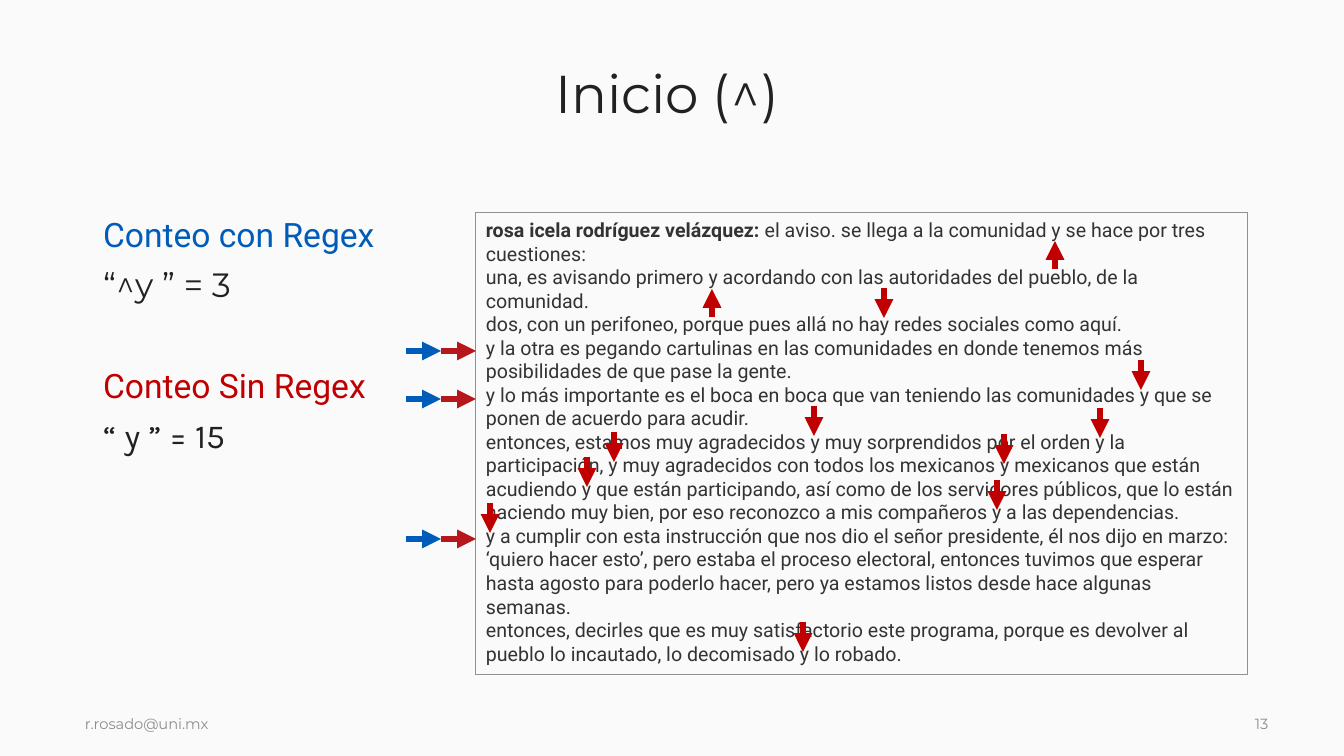
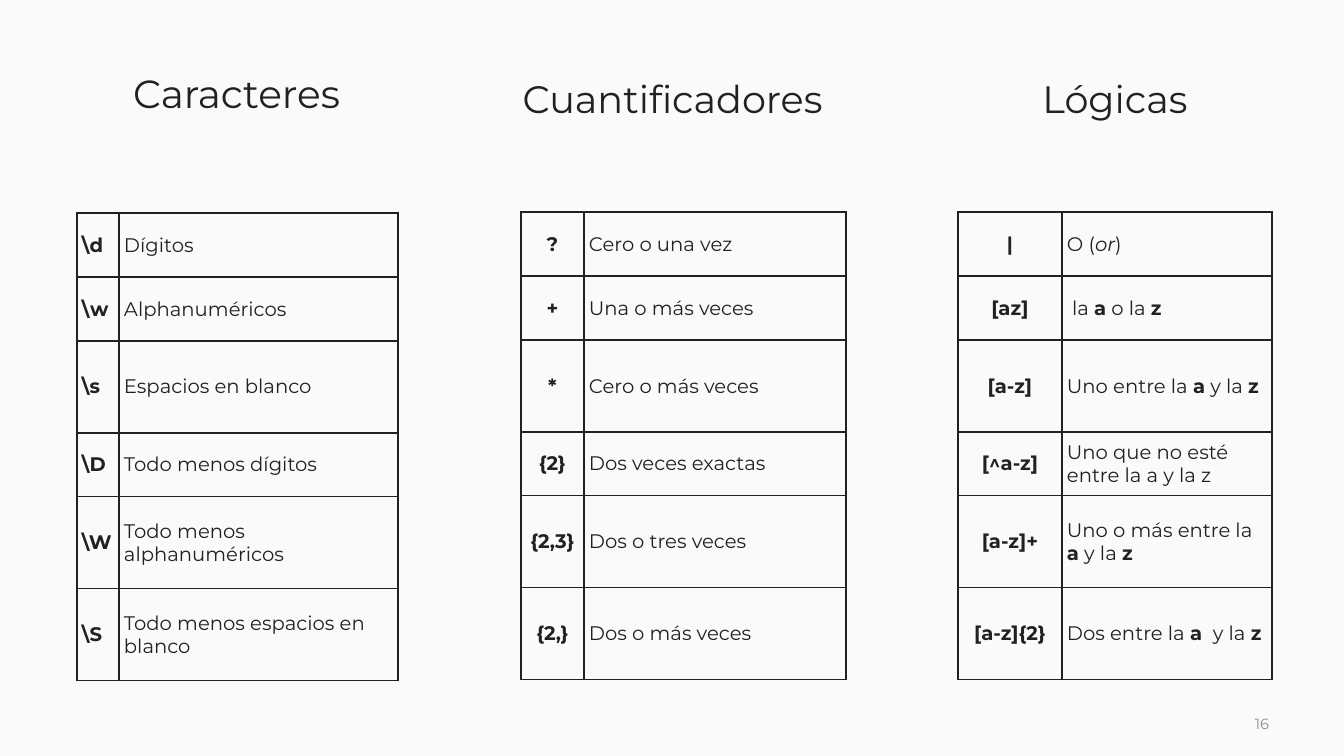
import pptx
import pptx.util
import pptx.dml.color
import pptx.enum.shapes
import pptx.enum.text
import pptx.oxml
import pptx.oxml.ns
import lxml.etree


class Theme:
    bg, ink, note = "FAFAFA", "212121", "333333"
    frame, muted = "909090", "8D8D8D"
    blue, red, brick = "005CB9", "C00000", "B6171A"
    head, read, plain = "Montserrat", "Roboto", "Karla"
    title, subtitle, caption = 38, 28, 27.3
    body, small, footer = 24, 14, 10.5


PX = 12192000 / 1344
MIDDLE = pptx.enum.text.MSO_ANCHOR.MIDDLE
TOP = pptx.enum.text.MSO_ANCHOR.TOP
CENTER = pptx.enum.text.PP_ALIGN.CENTER
LEFT = pptx.enum.text.PP_ALIGN.LEFT
STRAIGHT = pptx.enum.shapes.MSO_CONNECTOR.STRAIGHT
RGB = pptx.dml.color.RGBColor.from_string
qn = pptx.oxml.ns.qn
B, I = {"bold": True}, {"italic": True}


def px(*values):
    return [round(v * PX) for v in values]


def write(tf, paras, size, color, name=Theme.head, anchor=MIDDLE, **para_format):
    """Each paragraph is a list of runs: a string, or a string with font values."""
    tf.word_wrap = True
    tf.auto_size = pptx.enum.text.MSO_AUTO_SIZE.NONE
    tf.vertical_anchor = anchor
    for i, runs in enumerate(paras):
        p = tf.add_paragraph() if i else tf.paragraphs[0]
        for key, value in para_format.items():
            setattr(p, key, value)
        for run in runs:
            text, extra = (run, {}) if isinstance(run, str) else run
            r = p.add_run()
            r.text = text
            font = {"size": pptx.util.Pt(size), "name": name, "bold": False, **extra}
            for key, value in font.items():
                setattr(r.font, key, value)
            r.font.color.rgb = RGB(color)


prs = pptx.Presentation()
prs.slide_width, prs.slide_height = px(1344, 756)
fill = prs.slide_master.background.fill
fill.solid()
fill.fore_color.rgb = RGB(Theme.bg)

# Slides with their titles, footers and page numbers
slides = []
for layout, title, width, size, footers in [
    (1, "Inicio (^)", 1206, Theme.title, [(75, 772, "r.rosado@uni.mx"), (1245, 39, "13")]),
    (5, "Caracteres", 345, Theme.subtitle, [(1245, 39, "16")]),
]:
    s = prs.slides.add_slide(prs.slide_layouts[layout])
    slides.append(s)
    sp = s.shapes.title
    sp.left, sp.top, sp.width, sp.height = px(64, 51, width, 90)
    write(sp.text_frame, [[title]], size, Theme.ink, alignment=CENTER, line_spacing=0.9)
    for x, w, text in footers:
        sp = s.shapes.add_textbox(*px(x, 692, w, 64))
        write(sp.text_frame, [[text]], Theme.footer, Theme.muted)

# Slide 1: counts
s = slides[0]
sp = s.placeholders[1]
sp.left, sp.top, sp.width, sp.height = px(93, 213, 571, 469)
write(sp.text_frame, [
    [("Conteo con Regex", {"name": Theme.read})],
    ["“^y ” = 3"],
    [("Conteo Sin Regex", {"name": Theme.read})],
    [("“ y ” = 15", {"name": Theme.plain})],
], Theme.body, Theme.ink, anchor=TOP, line_spacing=0.9, space_before=pptx.util.Pt(10))
paras = sp.text_frame.paragraphs
paras[2].space_before = pptx.util.Pt(46)
for p, color in [(paras[0], Theme.blue), (paras[2], Theme.red)]:
    p.runs[0].font.color.rgb = RGB(color)
for p in paras:
    pPr = p._p.get_or_add_pPr()
    pPr.set("marL", "0")
    pPr.set("indent", "0")
    lxml.etree.SubElement(pPr, qn("a:buNone"))

# Slide 1: sample text
sp = s.shapes.add_shape(pptx.enum.shapes.MSO_SHAPE.RECTANGLE, *px(476, 213, 772, 462))
sp.shadow.inherit = False
sp.fill.background()
sp.line.color.rgb = RGB(Theme.frame)
sp.line.width = pptx.util.Pt(0.75)
write(sp.text_frame, [
    [("rosa icela rodríguez velázquez:", B),
     " el aviso. se llega a la comunidad y se hace por tres cuestiones:"],
    ["una, es avisando primero y acordando con las autoridades del pueblo, de la comunidad."],
    ["dos, con un perifoneo, porque pues allá no hay redes sociales como aquí."],
    ["y la otra es pegando cartulinas en las comunidades en donde tenemos más "
     "posibilidades de que pase la gente."],
    ["y lo más importante es el boca en boca que van teniendo las comunidades y que se "
     "ponen de acuerdo para acudir."],
    ["entonces, estamos muy agradecidos y muy sorprendidos por el orden y la participación, "
     "y muy agradecidos con todos los mexicanos y mexicanos que están acudiendo y que están "
     "participando, así como de los servidores públicos, que lo están haciendo muy bien, "
     "por eso reconozco a mis compañeros y a las dependencias."],
    ["y a cumplir con esta instrucción que nos dio el señor presidente, él nos dijo en marzo: "
     "‘quiero hacer esto’, pero estaba el proceso electoral, entonces tuvimos que esperar "
     "hasta agosto para poderlo hacer, pero ya estamos listos desde hace algunas semanas."],
    ["entonces, decirles que es muy satisfactorio este programa, porque es devolver al pueblo "
     "lo incautado, lo decomisado y lo robado."],
], Theme.small, Theme.note, Theme.read, TOP, alignment=LEFT)

# Slide 1: arrows at line starts, then at each "y" (x, tail, length down)
arrows = []
for y in (351, 399, 539):
    arrows += [(441, y, 476, y, Theme.brick), (406, y, 441, y, Theme.blue)]
for x, y, length in [
    (1055, 269, -28), (712, 317, -28), (884, 288, 30), (1141, 360, 30),
    (814, 406, 30), (1100, 408, 30), (614, 432, 30), (587, 457, 30),
    (803, 622, 30), (997, 480, 30), (1004, 434, 30), (490, 503, 30),
]:
    arrows.append((x, y, x, y + length, Theme.red))
for *ends, color in arrows:
    cx = s.shapes.add_connector(STRAIGHT, *px(*ends))
    cx.line.width = pptx.util.Pt(4.5)
    cx.line.color.rgb = RGB(color)
    lxml.etree.SubElement(cx.line._get_or_add_ln(), qn("a:tailEnd"), type="triangle")
    lxml.etree.SubElement(cx._element.spPr, qn("a:effectLst"))

# Slide 2: captions of the second and third tables
s = slides[1]
for x, w, text in [(500, 345, "Cuantificadores"), (958, 314, "Lógicas")]:
    sp = s.shapes.add_textbox(*px(x, 56, w, 90))
    write(sp.text_frame, [[text]], Theme.caption, Theme.ink,
          alignment=CENTER, line_spacing=0.9)

# Slide 2: tables of symbols and meanings
ROWS = [64, 64, 92, 64, 92, 92]
CELL = dict(zip(("margin_left", "margin_top", "margin_right", "margin_bottom"),
                px(5, 2, 5, 2)))
BORDER = ('<a:{} xmlns:a="http://schemas.openxmlformats.org/drawingml/2006/main" w="12700">'
          '<a:solidFill><a:srgbClr val="{}"/></a:solidFill></a:{}>')
for x, y, cols, align, rows in [
    (77, 213, (42, 279), LEFT, [
        (r"\d", ["Dígitos"]),
        (r"\w", ["Alphanuméricos"]),
        (r"\s", ["Espacios en blanco"]),
        (r"\D", ["Todo menos dígitos"]),
        (r"\W", ["Todo menos alphanuméricos"]),
        (r"\S", ["Todo menos espacios en blanco"]),
    ]),
    (521, 212, (63, 262), CENTER, [
        ("?", ["Cero o una vez"]),
        ("+", ["Una o más veces"]),
        ("*", ["Cero o más veces"]),
        ("{2}", ["Dos veces exactas"]),
        ("{2,3}", ["Dos o tres veces"]),
        ("{2,}", ["Dos o más veces"]),
    ]),
    (958, 212, (104, 210), CENTER, [
        ("|", ["O (", ("or", I), ")"]),
        ("[az]", [" la ", ("a", B), " o la ", ("z", B)]),
        ("[a-z]", ["Uno entre la ", ("a", B), " y la ", ("z", B)]),
        ("[^a-z]", ["Uno que no esté entre la a y la z"]),
        ("[a-z]+", ["Uno o más entre la ", ("a", B), " y la ", ("z", B)]),
        ("[a-z]{2}", ["Dos entre la ", ("a ", B), " y la ", ("z", B)]),
    ]),
]:
    table = s.shapes.add_table(len(rows), 2, *px(x, y, sum(cols), sum(ROWS))).table
    table.first_row = table.horz_banding = False
    for col, width in zip(table.columns, px(*cols)):
        col.width = width
    for row, height, (symbol, meaning) in zip(table.rows, px(*ROWS), rows):
        row.height = height
        for cell, runs, al in zip(row.cells, ([(symbol, B)], meaning), (align, LEFT)):
            write(cell.text_frame, [runs], Theme.small, Theme.ink, alignment=al)
            for key, value in {**CELL, "vertical_anchor": MIDDLE}.items():
                setattr(cell, key, value)
            cell.fill.background()
            tcPr = cell._tc.get_or_add_tcPr()
            for i, side in enumerate(("lnL", "lnR", "lnT", "lnB")):
                tcPr.insert(i, pptx.oxml.parse_xml(BORDER.format(side, Theme.ink, side)))

prs.save("out.pptx")
